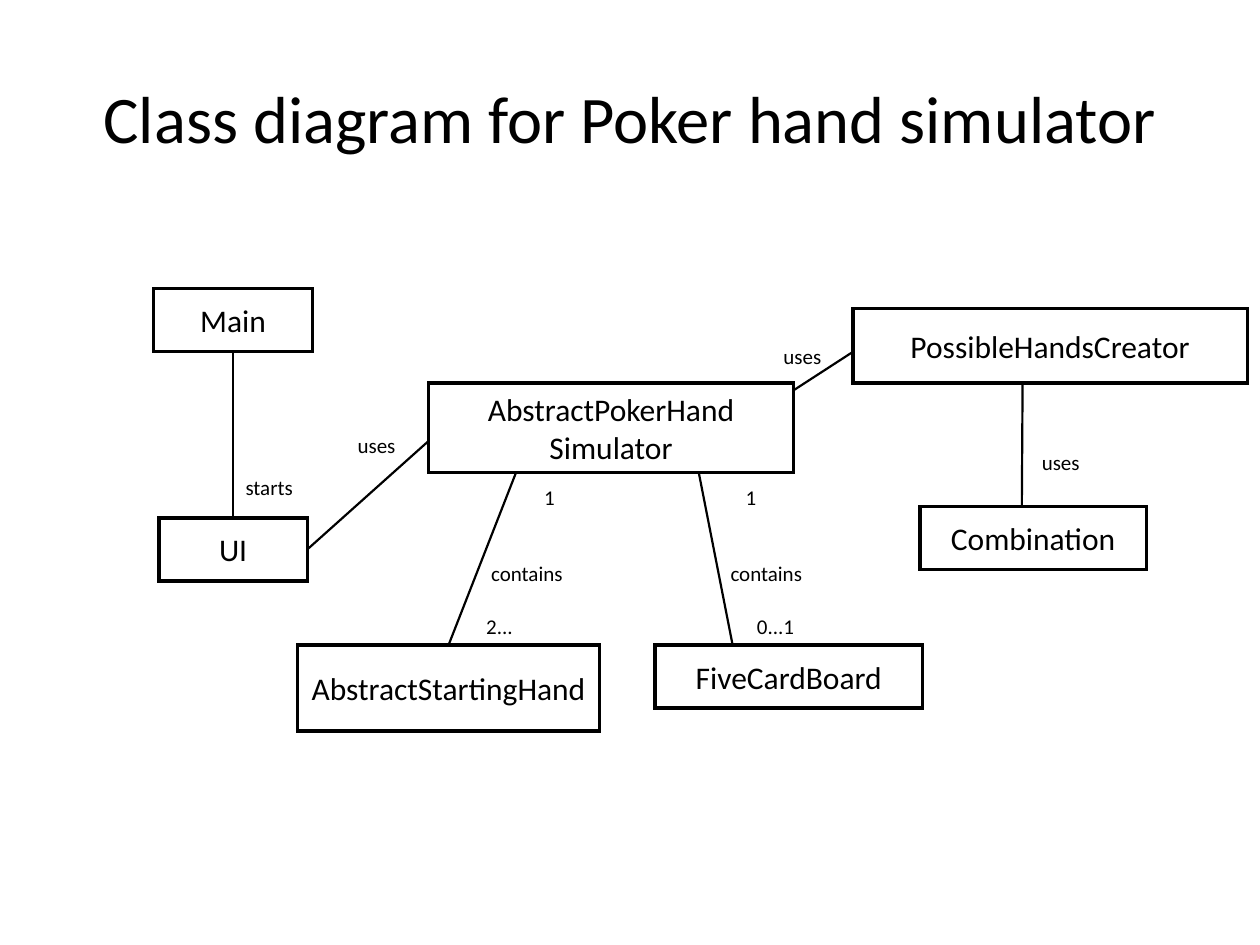
from pptx import Presentation, util as u
from pptx.dml.color import RGBColor
from pptx.enum import shapes, text
from pptx.oxml import ns
from lxml import etree

BLACK = RGBColor(0, 0, 0)
WHITE = RGBColor(255, 255, 255)
FONT = "Calibri"
CELL = u.Inches(0.1)  # one column or row of the grid; the slide is 100 by 75

# Class name: lines of text, then left, top, width, height within the diagram
CLASSES = {
    "main": (["Main"], 2.2, 2.9, 12.6, 5),
    "creator": (["PossibleHandsCreator"], 57.7, 4.5, 31.3, 5.9),
    "simulator": (["AbstractPokerHand", "Simulator"], 24, 10.4, 29, 7.1),
    "hand": (["AbstractStartingHand"], 13.6, 31.2, 24, 6.8),
    "board": (["FiveCardBoard"], 42, 31.2, 21.2, 5),
    "ui": (["UI"], 2.6, 21.1, 11.8, 5),
    "combination": (["Combination"], 63, 20.2, 18, 5),
}

# Each end: class, share of its width, share of its height
RELATIONS = [
    (("main", 0.5, 1), ("ui", 0.5, 0)),
    (("simulator", 0.24, 1), ("hand", 0.5, 0)),
    (("simulator", 0.74, 1), ("board", 0.29, 0)),
    (("simulator", 0, 0.65), ("ui", 1, 0.5)),
    (("creator", 0, 0.58), ("simulator", 1, 0.08)),
    (("creator", 0.43, 1), ("combination", 0.45, 0)),
]

# Text, left, top, width within the diagram
LABELS = [
    ("starts", 8.5, 17.2, 5.8),
    ("uses", 17.4, 13.8, 5),
    ("uses", 51.2, 6.8, 5),
    ("uses", 71.7, 15.2, 5),
    ("2...", 27.6, 28.2, 4.1),
    ("0...1", 49.1, 28.2, 6),
    ("1", 32.2, 18, 2.8),
    ("1", 48.2, 18, 2.8),
    ("contains", 28, 24, 9),
    ("contains", 47, 24, 9),
]


def cells(*counts):
    return [round(count * CELL) for count in counts]


def write(shape, lines, size, align=text.PP_ALIGN.CENTER,
          anchor=text.MSO_ANCHOR.MIDDLE, wrap=True):
    frame = shape.text_frame
    frame.word_wrap = wrap
    frame.vertical_anchor = anchor
    for number, line in enumerate(lines):
        para = frame.add_paragraph() if number else frame.paragraphs[0]
        para.text = line
        para.alignment = align
        para.font.name = FONT
        para.font.size = u.Pt(size)
        para.font.color.rgb = BLACK


def add_title(page, left, top, width, height):
    box = page.shapes.add_textbox(*cells(left, top, width, height))
    write(box, ["Class diagram for Poker hand simulator"], 38)


def add_class(page, lines, left, top, width, height):
    box = page.shapes.add_shape(shapes.MSO_SHAPE.RECTANGLE,
                                *cells(left, top, width, height))
    box.shadow.inherit = False
    box.fill.background()
    box.line.color.rgb = BLACK
    box.line.width = u.Pt(2)
    outline = box._element.spPr.find(ns.qn("a:ln"))
    etree.SubElement(outline, ns.qn("a:miter"), lim="800000")
    write(box, lines, 18)
    return box


def edge_point(box, across, down):
    return (round(box.left + across * box.width),
            round(box.top + down * box.height))


def add_relation(page, start, end):
    line = page.shapes.add_connector(shapes.MSO_CONNECTOR.STRAIGHT, *start, *end)
    line.line.color.rgb = BLACK
    line.line.width = u.Pt(1.25)
    etree.SubElement(line._element.spPr, ns.qn("a:effectLst"))


def add_label(page, words, left, top, width):
    box = page.shapes.add_textbox(*cells(left, top, width, 3))
    write(box, [words], 12, text.PP_ALIGN.LEFT, text.MSO_ANCHOR.TOP, wrap=False)


def add_diagram(page, left, top):
    boxes = {name: add_class(page, lines, left + x, top + y, width, height)
             for name, (lines, x, y, width, height) in CLASSES.items()}
    for ends in RELATIONS:
        points = [edge_point(boxes[name], across, down)
                  for name, across, down in ends]
        add_relation(page, *points)
    for words, x, y, width in LABELS:
        add_label(page, words, left + x, top + y, width)


def main():
    deck = Presentation()
    deck.slide_width, deck.slide_height = cells(100, 75)
    page = deck.slides.add_slide(deck.slide_layouts[6])
    page.background.fill.solid()
    page.background.fill.fore_color.rgb = WHITE
    add_title(page, 5, 2.4, 90, 13.7)
    add_diagram(page, 10, 20)
    deck.save("out.pptx")


if __name__ == "__main__":
    main()
